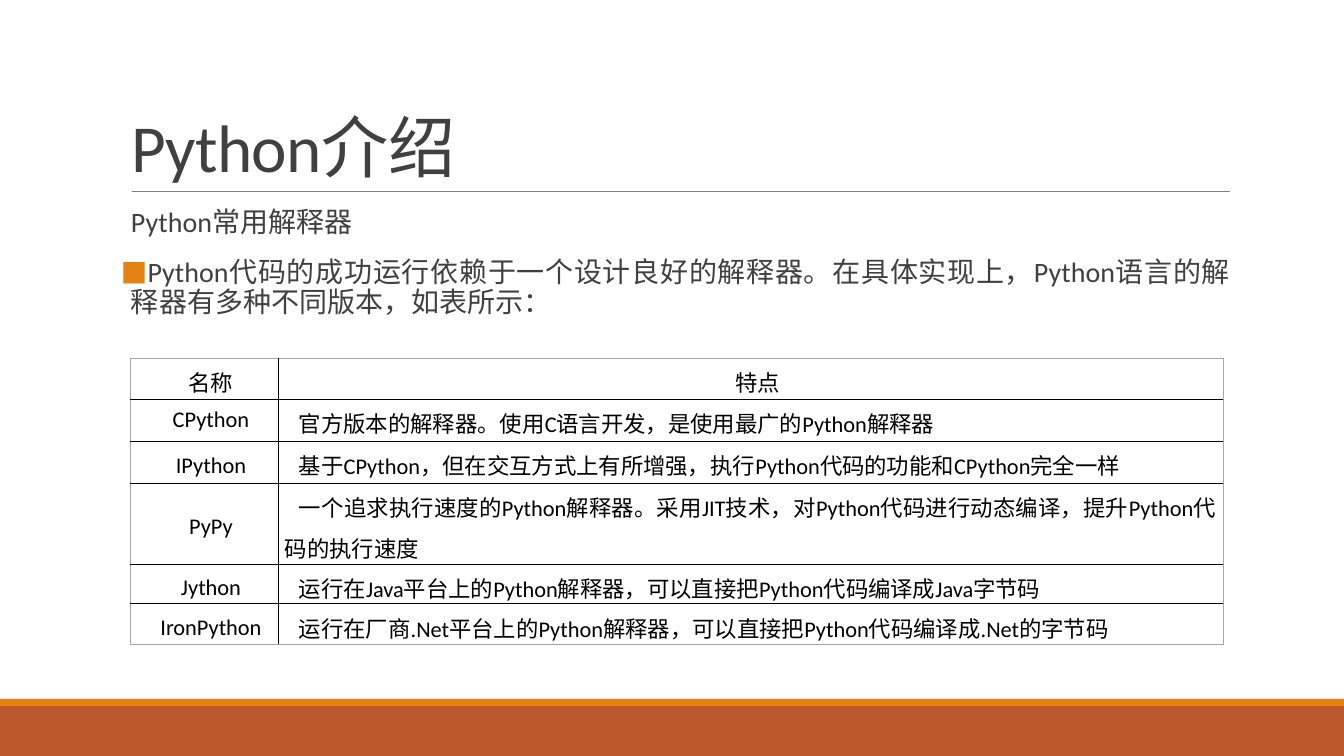
from dataclasses import dataclass

from lxml import etree
from pptx import Presentation
from pptx import util as u
from pptx.dml.color import RGBColor
from pptx.enum import lang, shapes, text
from pptx.oxml.ns import qn

EMU_PER_PX = 12192000 / 1344


@dataclass(frozen=True)
class Theme:
    font: str = "Calibri"
    ink: str = "404040"
    black: str = "000000"
    rule: str = "808080"
    frame: str = "A6A6A6"
    accent: str = "E48312"
    band: str = "BD582C"
    title_size: int = 48
    body_size: int = 20
    table_size: int = 16


ALIGN = {
    "left": text.PP_ALIGN.LEFT,
    "center": text.PP_ALIGN.CENTER,
    "justify": text.PP_ALIGN.JUSTIFY,
}

INTERPRETERS = [
    ("名称", "特点"),
    ("CPython", "官方版本的解释器。使用C语言开发，是使用最广的Python解释器"),
    ("IPython", "基于CPython，但在交互方式上有所增强，执行Python代码的功能和CPython完全一样"),
    ("PyPy", "一个追求执行速度的Python解释器。采用JIT技术，对Python代码进行动态编译，"
             "提升Python代码的执行速度"),
    ("Jython", "运行在Java平台上的Python解释器，可以直接把Python代码编译成Java字节码"),
    ("IronPython", "运行在厂商.Net平台上的Python解释器，可以直接把Python代码编译成.Net的字节码"),
]


def px(n):
    return u.Emu(round(n * EMU_PER_PX))


def rgb(value):
    return RGBColor.from_string(value)


def write(p, content, *, font, size, color, align="left", line=1.0, before=0, after=0,
          margin=0, indent=0, tracking=None, bullet=None, bullet_color=None):
    """Fill a paragraph with one formatted run; margin and indent are in px."""
    p.alignment = ALIGN[align]
    p.line_spacing = line
    p.space_before, p.space_after = u.Pt(before), u.Pt(after)
    pPr = p._p.get_or_add_pPr()
    pPr.set("marL", str(px(margin)))
    pPr.set("indent", str(px(indent)))
    if bullet:
        clr = etree.SubElement(pPr, qn("a:buClr"))
        etree.SubElement(clr, qn("a:srgbClr"), val=bullet_color)
        etree.SubElement(pPr, qn("a:buFont"), typeface=font)
        etree.SubElement(pPr, qn("a:buChar"), char=bullet)
    r = p.add_run()
    r.text = content
    r.font.name, r.font.size = font, u.Pt(size)
    r.font.color.rgb = rgb(color)
    r.font.language_id = lang.MSO_LANGUAGE_ID.SIMPLIFIED_CHINESE
    if tracking is not None:
        r._r.get_or_add_rPr().set("spc", str(round(tracking * 100)))


def set_border(cell, side, color):
    ln = etree.SubElement(cell._tc.get_or_add_tcPr(), qn(f"a:ln{side}"), w=str(u.Pt(0.75)))
    fill = etree.SubElement(ln, qn("a:solidFill"))
    etree.SubElement(fill, qn("a:srgbClr"), val=color)


class Deck:
    def __init__(self, theme):
        self.theme = theme
        self.prs = Presentation()
        self.prs.slide_width, self.prs.slide_height = px(1344), px(756)
        self.s = self.prs.slides.add_slide(self.prs.slide_layouts[5])

    def bar(self, x, y, w, h, color):
        sp = self.s.shapes.add_shape(shapes.MSO_SHAPE.RECTANGLE, px(x), px(y), px(w), px(h))
        sp.shadow.inherit = False
        sp.fill.solid()
        sp.fill.fore_color.rgb = rgb(color)
        sp.line.fill.background()

    def rule(self, x1, x2, y):
        line = self.s.shapes.add_connector(
            shapes.MSO_CONNECTOR.STRAIGHT, px(x1), px(y), px(x2), px(y))
        line.line.color.rgb = rgb(self.theme.rule)
        line.line.width = u.Pt(0.5)
        etree.SubElement(line._element.spPr, qn("a:effectLst"))

    def title(self, content, x, y, w, h):
        sp = self.s.shapes.title
        sp.left, sp.top, sp.width, sp.height = px(x), px(y), px(w), px(h)
        tf = sp.text_frame
        tf.auto_size = text.MSO_AUTO_SIZE.NONE
        tf.vertical_anchor = text.MSO_ANCHOR.BOTTOM
        write(tf.paragraphs[0], content, font=self.theme.font, size=self.theme.title_size,
              color=self.theme.ink, line=0.85, tracking=-0.5)

    def body(self, heading, point, x, y, w, h):
        t = self.theme
        tf = self.s.shapes.add_textbox(px(x), px(y), px(w), px(h)).text_frame
        tf.word_wrap = True
        tf.margin_left = tf.margin_right = 0
        tf.margin_top = tf.margin_bottom = px(5)
        style = dict(font=t.font, size=t.body_size, color=t.ink,
                     line=0.9, before=12, after=2, margin=10)
        write(tf.paragraphs[0], heading, **style)
        write(tf.add_paragraph(), point, align="justify", indent=-10,
              bullet="■", bullet_color=t.accent, **style)

    def table(self, rows, x, y, widths, heights):
        t = self.theme
        table = self.s.shapes.add_table(len(rows), len(widths), px(x), px(y),
                                        px(sum(widths)), px(sum(heights))).table
        table.first_row = table.horz_banding = False
        for column, width in zip(table.columns, widths):
            column.width = px(width)
        for row, height in zip(table.rows, heights):
            row.height = px(height)
        last_row, last_col = len(rows) - 1, len(widths) - 1
        for i, row in enumerate(rows):
            for j, content in enumerate(row):
                cell = table.cell(i, j)
                cell.margin_left = cell.margin_right = px(7)
                cell.margin_top = cell.margin_bottom = 0
                if j == 0 and i > 1:
                    cell.vertical_anchor = text.MSO_ANCHOR.MIDDLE
                outer = {"L": j == 0, "R": j == last_col, "T": i == 0, "B": i == last_row}
                for side, on_frame in outer.items():
                    set_border(cell, side, t.frame if on_frame else t.black)
                cell.fill.background()
                write(cell.text_frame.paragraphs[0], content, font=t.font,
                      size=t.table_size, color=t.black, line=1.25, indent=14,
                      align="center" if i == 0 or j == 0 else "justify")


def main():
    theme = Theme()
    deck = Deck(theme)
    deck.bar(0, 706, 1344, 50, theme.band)
    deck.bar(0, 699, 1344, 7, theme.accent)
    deck.rule(132, 1230, 191)
    deck.title("Python介绍", 121, 31, 1109, 160)
    deck.body("Python常用解释器",
              "Python代码的成功运行依赖于一个设计良好的解释器。在具体实现上，"
              "Python语言的解释器有多种不同版本，如表所示：",
              121, 203, 1109, 444)
    deck.table(INTERPRETERS, 130, 358, [148, 945], [41, 42, 42, 81, 40, 41])
    deck.prs.save("out.pptx")


if __name__ == "__main__":
    main()
